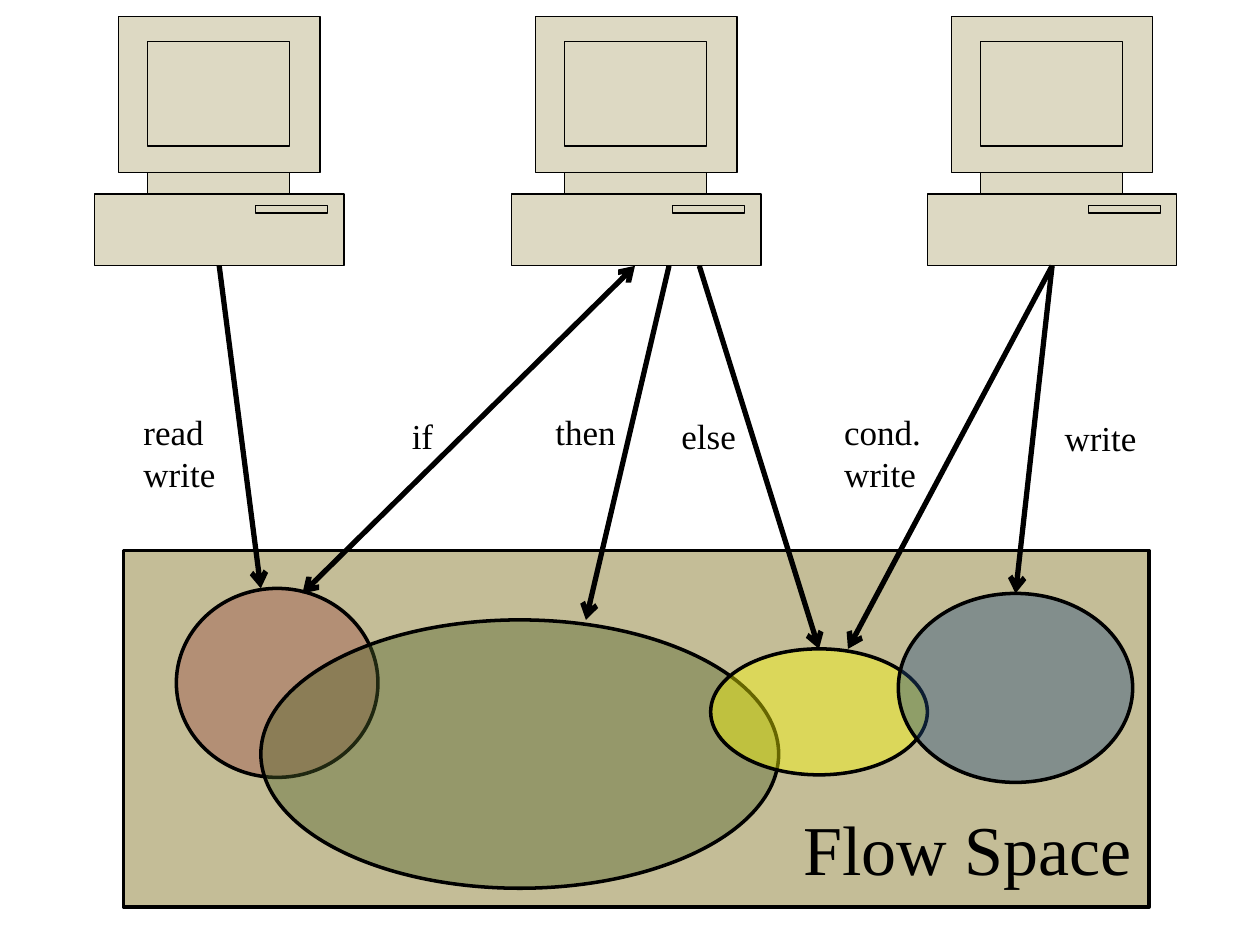
from copy import deepcopy

from lxml.etree import SubElement
from pptx import Presentation
from pptx.dml.color import RGBColor
from pptx.enum.shapes import MSO_CONNECTOR as Connector, MSO_SHAPE as Shape
from pptx.enum.text import MSO_AUTO_SIZE as AutoSize
from pptx.oxml.ns import qn
from pptx.util import Pt

EMU_PER_PX = 9144  # 100 px to the inch


def px(length):
    return length * EMU_PER_PX


def colour(code):
    return RGBColor.from_string(code)


def rectangle(left, top, right, bottom):
    return [(left, top), (right, top), (right, bottom), (left, bottom)]


# Computer drawing, measured from its top left corner
COMPUTER_PARTS = [
    [(155, 141), (155, 124), (179, 124), (179, 0), (19, 0), (19, 124),
     (42, 124), (42, 141), (0, 141), (0, 198), (198, 198), (198, 141)],
    rectangle(42, 124, 155, 141),   # neck
    rectangle(42, 20, 155, 103),    # screen
    rectangle(128, 150, 185, 156),  # disk slot
]


class FlowSlide:
    font = "Times New Roman"
    ink = "000000"
    computer_fill = "DDD9C3"

    def __init__(self, slide):
        self.shapes = slide.shapes

    def paint(self, shape, fill, line_width, opacity=None):
        shape.shadow.inherit = False
        shape.fill.solid()
        shape.fill.fore_color.rgb = colour(fill)
        if opacity is not None:
            tint = shape._element.spPr.find(qn("a:solidFill"))[0]
            SubElement(tint, qn("a:alpha"), val=str(opacity * 1000))
        shape.line.color.rgb = colour(self.ink)
        shape.line.width = Pt(line_width)

    def area(self, kind, left, top, width, height, fill, opacity=None):
        shape = self.shapes.add_shape(kind, px(left), px(top), px(width), px(height))
        self.paint(shape, fill, 2, opacity)
        return shape

    def computer(self, left, top):
        parts = [[(left + x, top + y) for x, y in part] for part in COMPUTER_PARTS]
        builder = self.shapes.build_freeform(*parts[0][0], scale=EMU_PER_PX)
        for part in parts:
            if part is not parts[0]:
                builder.move_to(*part[0])
            builder.add_line_segments(part[1:], close=True)
        shape = builder.convert_to_shape()
        self.paint(shape, self.computer_fill, 0.75)

        # Give each part its own outline, so that inner parts are filled too
        whole = next(shape._element.iter(qn("a:path")))
        outlines = whole.getparent()
        for step in list(whole):
            if step.tag == qn("a:moveTo"):
                outline = deepcopy(whole)
                for old_step in list(outline):
                    outline.remove(old_step)
                outlines.append(outline)
            outline.append(step)
        outlines.remove(whole)

    def arrow(self, start, end, target=None, both_ends=False):
        line = self.shapes.add_connector(
            Connector.STRAIGHT, *(px(value) for value in start + end))
        if target is not None:
            line.end_connect(target, 0)
        line.line.color.rgb = colour(self.ink)
        line.line.width = Pt(3)
        stroke = line.line._get_or_add_ln()
        if both_ends:
            SubElement(stroke, qn("a:headEnd"), type="arrow")
        SubElement(stroke, qn("a:tailEnd"), type="arrow")
        SubElement(line._element.spPr, qn("a:effectLst"))

    def label(self, text, left, top, width, height, size=20):
        box = self.shapes.add_textbox(px(left), px(top), px(width), px(height))
        frame = box.text_frame
        frame.text = text
        frame.word_wrap = False
        frame.auto_size = AutoSize.SHAPE_TO_FIT_TEXT
        for para in frame.paragraphs:
            for span in para.runs:
                span.font.name = self.font
                span.font.size = Pt(size)
                span.font.color.rgb = colour(self.ink)


def main():
    deck = Presentation()
    deck.slide_width, deck.slide_height = px(1000), px(750)
    page = FlowSlide(deck.slides.add_slide(deck.slide_layouts[6]))

    # Flow space and computers
    page.area(Shape.RECTANGLE, 98, 437, 814, 283, "C4BD97")
    for left in (75, 406, 736):
        page.computer(left, 13)
    page.label("Flow Space", 628, 634, 284, 77, size=40)

    # Overlapping flows
    page.area(Shape.OVAL, 140, 467, 160, 150, "953735", 34)
    page.area(Shape.OVAL, 207, 492, 411, 213, "4F6228", 40)
    yellow = page.area(Shape.OVAL, 564, 515, 172, 100, "FFFF00", 40)
    blue = page.area(Shape.OVAL, 713, 471, 186, 150, "1F497D", 40)

    # Operations from the computers on the flows
    page.arrow((174, 211), (207, 467))
    page.arrow((504, 211), (240, 471), both_ends=True)
    page.arrow((531, 211), (465, 492))
    page.arrow((555, 211), (650, 515), target=yellow)
    page.arrow((835, 211), (673, 515))
    page.arrow((835, 211), (806, 471), target=blue)

    # Operation names
    for text, left, top, width, height in [
        ("read\nwrite", 104, 321, 78, 77),
        ("if", 317, 324, 37, 44),
        ("then", 431, 321, 68, 44),
        ("else", 531, 324, 64, 44),
        ("cond.\nwrite", 660, 321, 82, 77),
        ("write", 835, 326, 78, 44),
    ]:
        page.label(text, left, top, width, height)

    deck.save("out.pptx")


if __name__ == "__main__":
    main()
